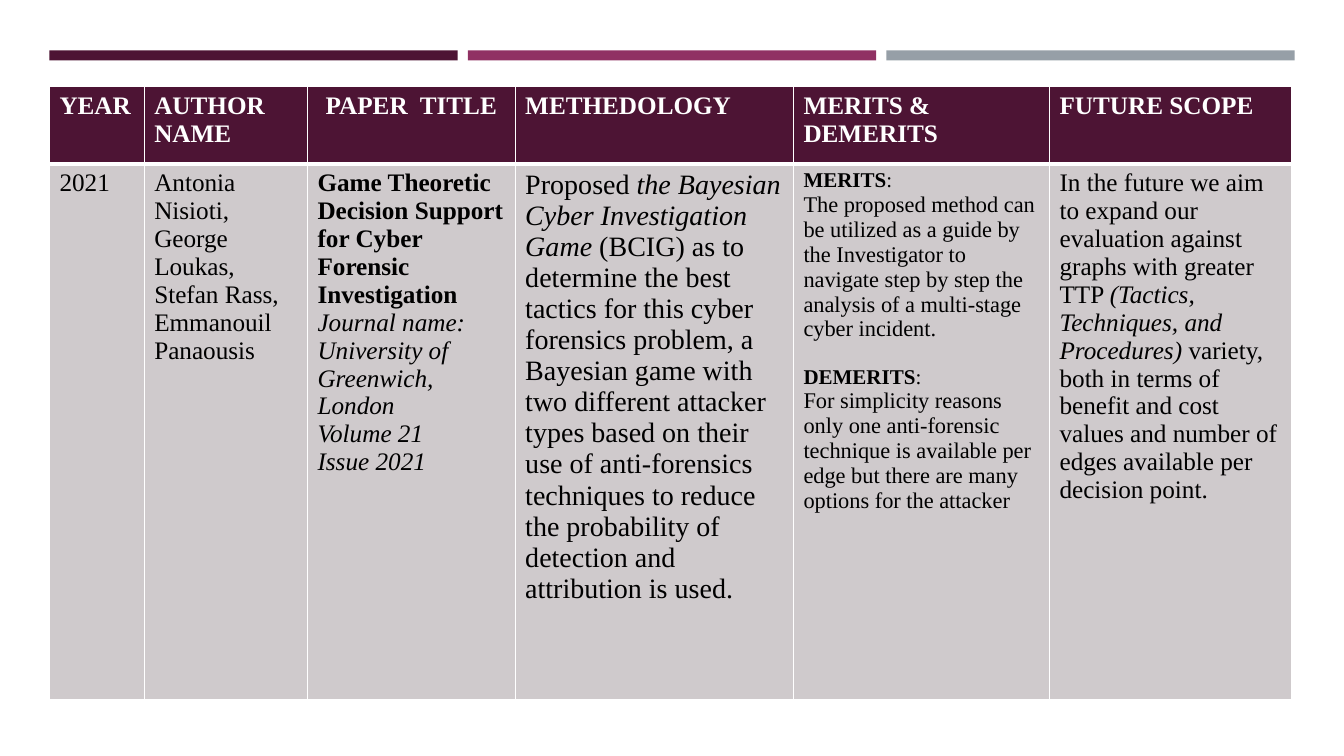
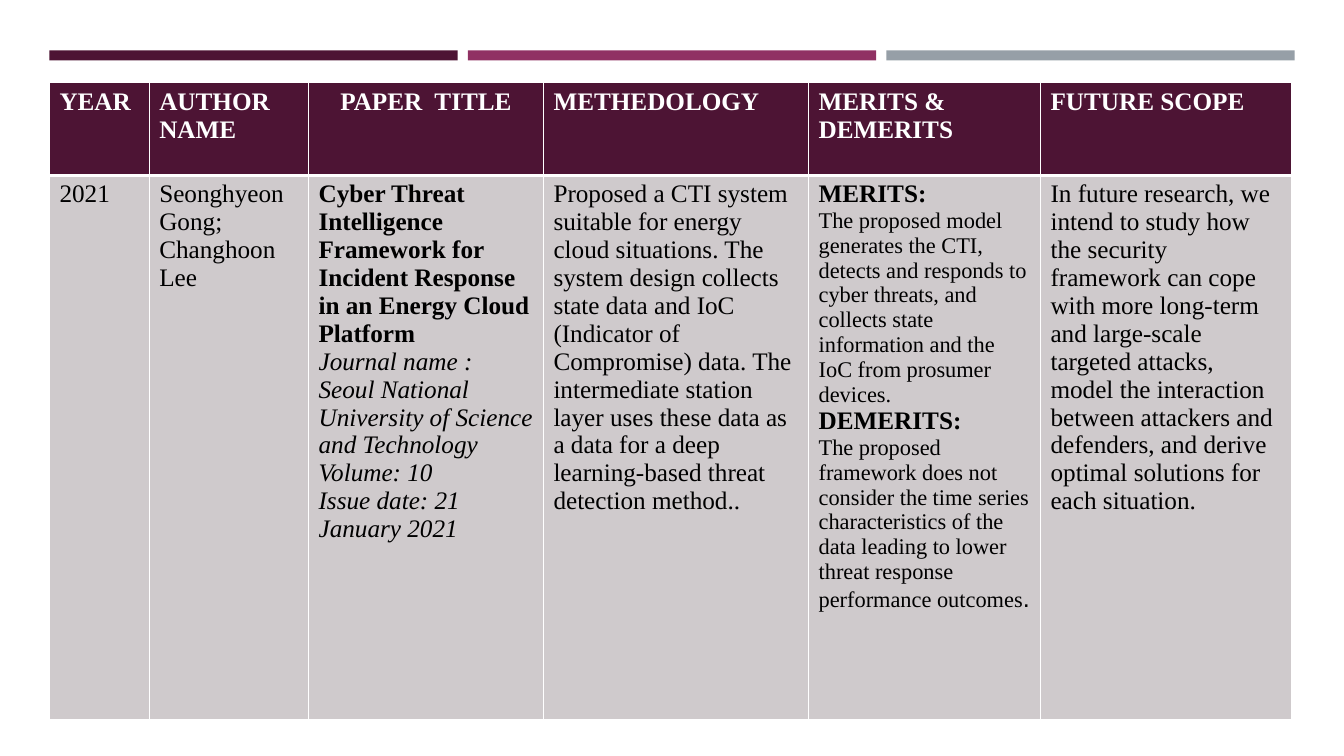
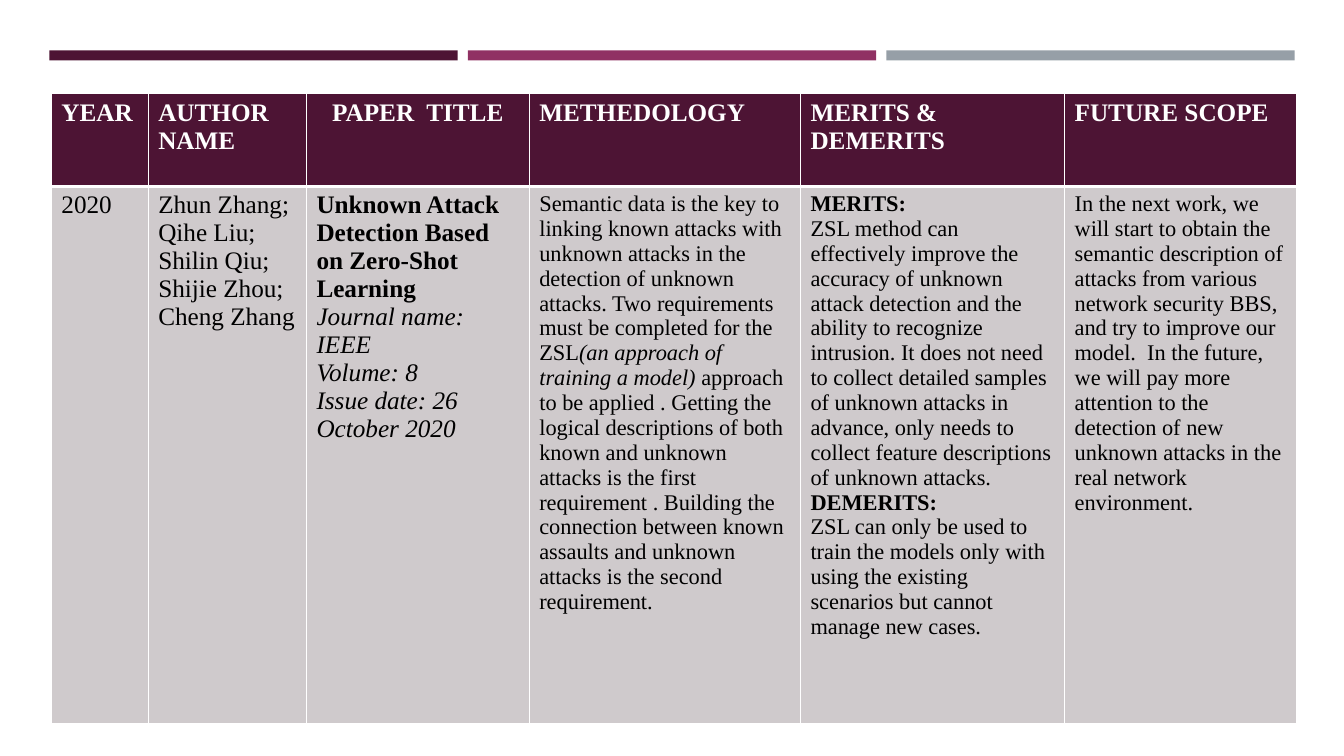
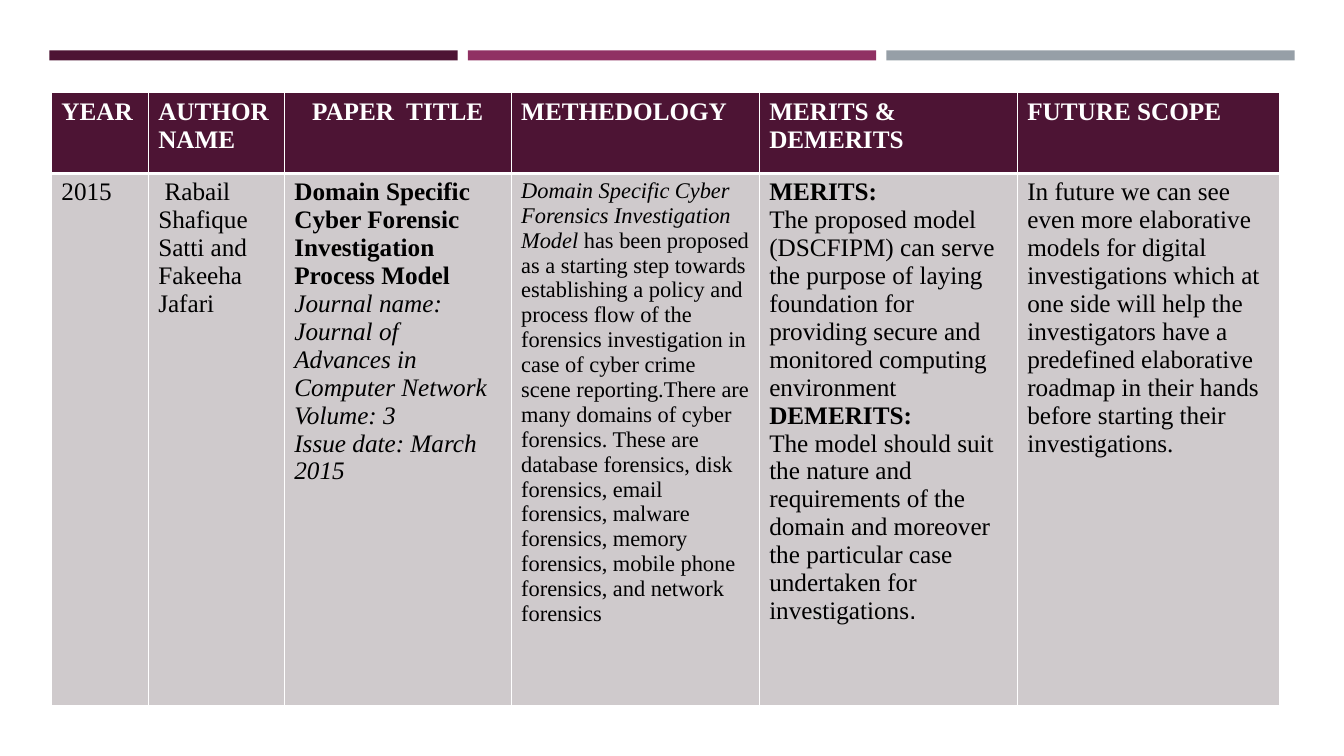
from dataclasses import dataclass

from lxml import etree
from pptx import Presentation
from pptx import util as u
from pptx.dml.color import RGBColor
from pptx.enum import shapes, text
from pptx.oxml import ns

PX = 9144  # EMU per px, 100 px to the inch
FONT = "Times New Roman"
COLOURS = {
    "plum": "4D1434",
    "berry": "903163",
    "steel": "969FA7",
    "body": "CFCACC",
    "white": "FFFFFF",
    "black": "000000",
}
HEADINGS = ["YEAR", "AUTHOR NAME", "PAPER  TITLE", "METHEDOLOGY",
            "MERITS & DEMERITS", "FUTURE SCOPE"]
CENTRED_HEADING = "PAPER  TITLE"
THIN, THICK = 1, 3


@dataclass
class Phrase:
    """A stretch of text in one style."""
    words: str
    size: int = 18
    bold: bool = False
    italic: bool = False
    font: str = FONT


@dataclass
class Para:
    phrases: list
    space_before: int = 0


@dataclass
class Review:
    """One paper: the table's place, its sizes and the six cells of its row."""
    left: int
    top: int
    columns: list
    rows: list
    cells: list


def px(length):
    return u.Emu(length * PX)


def colour(name):
    return RGBColor.from_string(COLOURS[name])


def plain(*lines, size=18):
    return [Para([Phrase(line, size)]) for line in lines]


def paper(title, *journal):
    """Bold title over the italic journal lines."""
    return ([Para([Phrase(title, bold=True)])]
            + [Para([Phrase(line, italic=True)]) for line in journal])


def with_italic(before, italic, after, size):
    return [Para([Phrase(words, size, italic=words is italic)
                  for words in (before, italic, after) if words])]


def verdict(merits, demerits, size, head_size, colon_bold=True, gap=0, arial_stop=False):
    """Merits and demerits, each under a bold heading."""
    def heading(word, space_before=0):
        return Para([Phrase(word, head_size, bold=True),
                     Phrase(":", head_size, bold=colon_bold)], space_before)

    closing = [Phrase(demerits, size)]
    if arial_stop:
        closing.append(Phrase(".", font="Arial"))
    return [heading("MERITS"), Para([Phrase(merits, size)]),
            heading("DEMERITS", gap), Para(closing)]


def add_bands(slide, layout):
    """Draw the three bands and move them to the layout that all slides share."""
    width, gap = 405, 10
    for index, name in enumerate(["plum", "berry", "steel"]):
        band = slide.shapes.add_shape(
            shapes.MSO_SHAPE.RECTANGLE, px(49 + index * (width + gap)), px(50),
            px(width), px(10))
        band.shadow.inherit = False
        band.fill.solid()
        band.fill.fore_color.rgb = colour(name)
        band.line.fill.background()
        layout.shapes.element.append(band.element)


def style_cell(cell, fill, top, bottom):
    """White borders first, then the fill, as the schema orders them."""
    properties = cell._tc.get_or_add_tcPr()
    for side, points in (("L", THIN), ("R", THIN), ("T", top), ("B", bottom)):
        border = etree.SubElement(properties, ns.qn(f"a:ln{side}"), w=str(u.Pt(points)))
        solid = etree.SubElement(border, ns.qn("a:solidFill"))
        etree.SubElement(solid, ns.qn("a:srgbClr"), val=COLOURS["white"])
    cell.fill.solid()
    cell.fill.fore_color.rgb = colour(fill)


def write_cell(cell, paras, ink):
    frame = cell.text_frame
    for index, para in enumerate(paras):
        paragraph = frame.add_paragraph() if index else frame.paragraphs[0]
        if para.space_before:
            paragraph.space_before = u.Pt(para.space_before)
        for phrase in para.phrases:
            run = paragraph.add_run()
            run.text = phrase.words
            run.font.name = phrase.font
            run.font.size = u.Pt(phrase.size)
            run.font.bold = phrase.bold
            run.font.italic = phrase.italic
            run.font.color.rgb = colour(ink)


def add_review(slide, review):
    table = slide.shapes.add_table(
        2, len(HEADINGS), px(review.left), px(review.top),
        px(sum(review.columns)), px(sum(review.rows))).table
    table.horz_banding = False
    for row, height in zip(table.rows, review.rows):
        row.height = px(height)
    for index, (heading, width) in enumerate(zip(HEADINGS, review.columns)):
        table.columns[index].width = px(width)
        head, body = table.cell(0, index), table.cell(1, index)
        style_cell(head, "plum", THIN, THICK)
        style_cell(body, "body", THICK, THIN)
        write_cell(head, [Para([Phrase(heading, bold=True)])], "white")
        write_cell(body, review.cells[index], "black")
        if heading == CENTRED_HEADING:
            head.text_frame.paragraphs[0].alignment = text.PP_ALIGN.CENTER


REVIEWS = [
    Review(49, 86, [94, 162, 206, 276, 254, 240], [77, 531], [
        plain("2021"),
        plain("Antonia Nisioti,", "George Loukas,", "Stefan Rass, Emmanouil Panaousis"),
        paper("Game Theoretic Decision Support for Cyber Forensic Investigation",
              "Journal name: University of Greenwich, London", "Volume 21", "Issue 2021"),
        with_italic(
            "Proposed ", "the Bayesian Cyber Investigation Game",
            " (BCIG) as to determine the best tactics for this cyber forensics problem, "
            "a Bayesian game with two different attacker types based on their use of "
            "anti-forensics techniques to reduce the probability of detection and "
            "attribution is used.", size=20),
        verdict(
            "The proposed method can be utilized as a guide by the Investigator to "
            "navigate step by step the analysis of a multi-stage cyber incident.",
            "For simplicity reasons only one anti-forensic technique is available per "
            "edge but there are many options for the attacker",
            size=16, head_size=15, colon_bold=False, gap=17),
        with_italic(
            "In the future we aim to expand our evaluation against graphs with greater TTP ",
            "(Tactics, Techniques, and Procedures) ",
            "variety, both in terms of benefit and cost values and number of edges "
            "available per decision point.", size=18),
    ]),
    Review(49, 82, [99, 158, 233, 263, 230, 249], [92, 540], [
        plain("2021"),
        plain("Seonghyeon Gong;", "Changhoon Lee"),
        paper("Cyber Threat Intelligence Framework for Incident Response in an Energy "
              "Cloud Platform",
              "Journal name : Seoul National University of Science and Technology",
              "Volume: 10", "Issue date: 21 January 2021"),
        plain("Proposed a CTI system suitable for energy cloud situations. The system "
              "design collects state data and IoC (Indicator of Compromise) data. The "
              "intermediate station layer uses these data as a data for a deep "
              "learning-based threat detection method.."),
        verdict(
            "The proposed model generates the CTI, detects and responds to cyber "
            "threats, and collects state information and the IoC from prosumer devices.",
            "The proposed framework does not consider the time series characteristics "
            "of the data leading to lower threat response performance outcomes",
            size=16, head_size=18, arial_stop=True),
        plain("In future research, we intend to study how the security framework can "
              "cope with more long-term and large-scale targeted attacks, model the "
              "interaction between attackers and defenders, and derive optimal "
              "solutions for each situation."),
    ]),
    Review(51, 93, [96, 157, 221, 269, 262, 230], [92, 533], [
        plain("2020"),
        plain("Zhun Zhang;", "Qihe Liu;", "Shilin Qiu;", "Shijie Zhou;", "Cheng Zhang"),
        paper("Unknown Attack Detection Based on Zero-Shot Learning",
              "Journal name: IEEE", "Volume: 8", "Issue date: 26 October 2020"),
        with_italic(
            "Semantic data is the key to linking known attacks with unknown attacks in "
            "the detection of unknown attacks. Two requirements must be completed for "
            "the ZSL", "(an approach of training a model) ",
            "approach to be applied . Getting the logical descriptions of both known "
            "and unknown attacks is the first requirement . Building the connection "
            "between known assaults and unknown attacks is the second requirement.",
            size=16),
        verdict(
            "ZSL method can effectively improve the accuracy of unknown attack detection "
            "and the ability to recognize intrusion. It does not need to collect detailed "
            "samples of unknown attacks in advance, only needs to collect feature "
            "descriptions of unknown attacks.",
            "ZSL can only be used to train the models only with using the existing "
            "scenarios but cannot manage new cases.", size=16, head_size=16),
        plain("In the next work, we will start to obtain the semantic description of "
              "attacks from various network security BBS, and try to improve our model.  "
              "In the future, we will pay more attention to the detection of new unknown "
              "attacks in the real network environment.", size=16),
    ]),
    Review(51, 92, [96, 135, 225, 246, 256, 260], [80, 528], [
        plain("2015"),
        plain(" Rabail Shafique Satti and Fakeeha Jafari"),
        paper("Domain Specific Cyber Forensic Investigation Process Model",
              "Journal name: Journal of Advances in Computer Network",
              "Volume: 3", "Issue date: March 2015"),
        with_italic(
            "", "Domain Specific Cyber Forensics Investigation Model ",
            "has been proposed as a starting step towards establishing a policy and "
            "process flow of the forensics investigation in case of cyber crime scene "
            "reporting.There are many domains of cyber forensics. These are database "
            "forensics, disk forensics, email forensics, malware forensics, memory "
            "forensics, mobile phone forensics, and network forensics", size=16),
        verdict(
            "The proposed model (DSCFIPM) can serve the purpose of laying foundation for "
            "providing secure and monitored computing environment",
            "The model should suit the nature and requirements of the domain and "
            "moreover the particular case undertaken for investigations",
            size=18, head_size=18, arial_stop=True),
        plain("In future we can see even more elaborative models for digital "
              "investigations which at one side will help the investigators have a "
              "predefined elaborative roadmap in their hands before starting their "
              "investigations."),
    ]),
]


def main():
    deck = Presentation()
    deck.slide_width, deck.slide_height = px(1333), px(750)
    layout = deck.slide_layouts[6]
    for placeholder in list(layout.placeholders):
        layout.shapes.element.remove(placeholder.element)
    for index, review in enumerate(REVIEWS):
        slide = deck.slides.add_slide(layout)
        if index == 0:
            add_bands(slide, layout)
        add_review(slide, review)
    deck.save("out.pptx")


if __name__ == "__main__":
    main()
